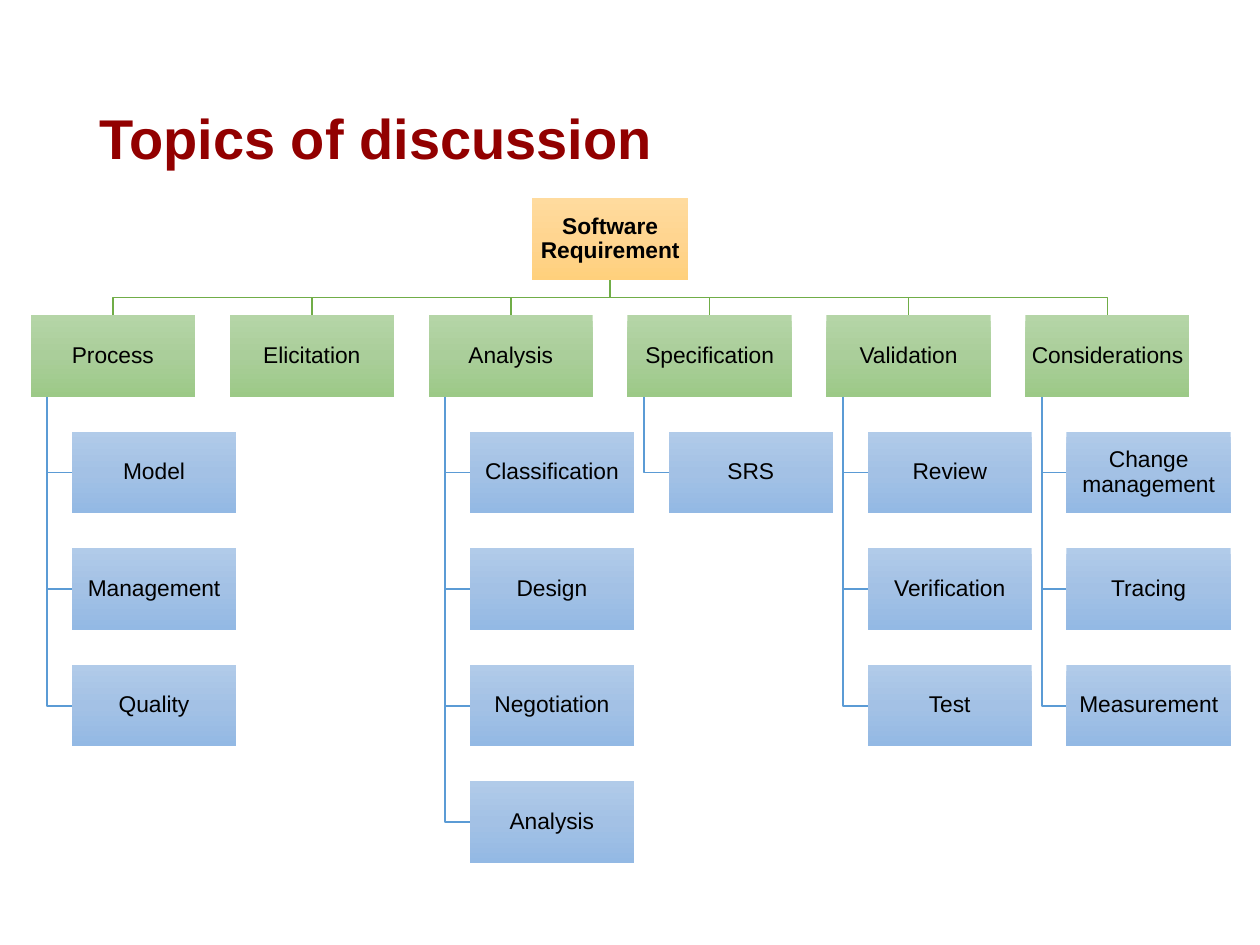
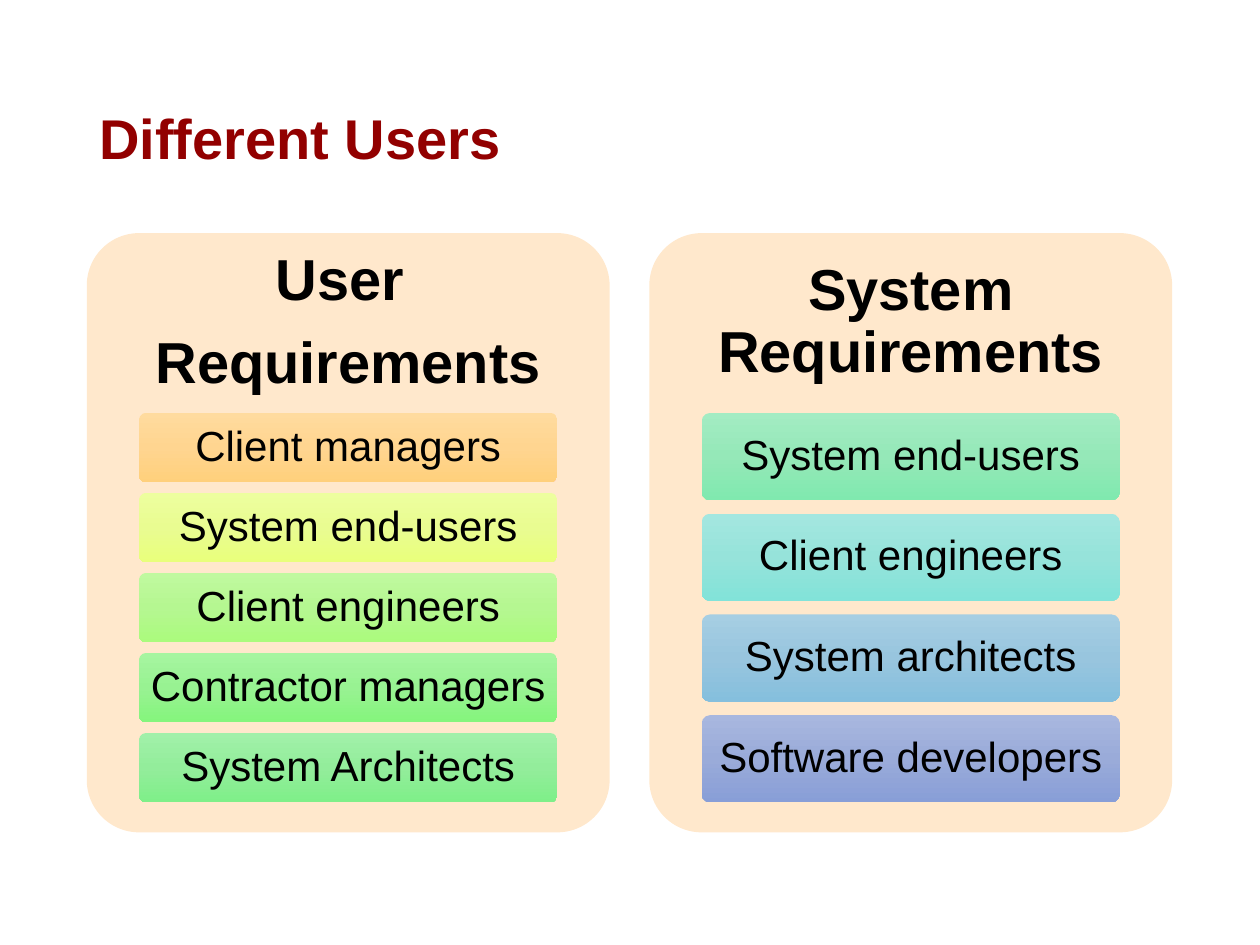
"""Build two slides: a requirements topic tree and two cards of requirement users."""
import copy

import pptx
import pptx.dml.color
import pptx.enum.shapes
import pptx.enum.text
import pptx.oxml.ns
import pptx.util

Cm = pptx.util.Cm
RGBColor = pptx.dml.color.RGBColor
MSO_SHAPE = pptx.enum.shapes.MSO_SHAPE
PP_ALIGN = pptx.enum.text.PP_ALIGN

COLOURS = {
    "title": "920000",
    "text": "000000",
    "card": "FFE8CC",
    "branch line": "70AD47",
    "leaf line": "5B9BD5",
}
GRADIENTS = {
    "orange": ("FFDB9E", "FFD590", "FFD07C"),
    "green": ("B5D5A7", "AACE9A", "9CC987"),
    "blue": ("B1CBE9", "A3C1E5", "93B9E4"),
    "yellow": ("EDFE9E", "E9FC91", "E9FF7C"),
    "lime": ("C0F99F", "B5F791", "ABFB7D"),
    "grass": ("A6F5A0", "98F292", "85F57D"),
    "mint": ("A1F0A9", "93ED9B", "7FEF89"),
    "jade": ("A3ECC3", "95E8B8", "80E9AF"),
    "turquoise": ("A4E7E0", "96E3DA", "82E3D9"),
    "sky": ("A6CEE3", "98C5DE", "85BFDD"),
    "violet": ("A8B7DF", "9AABD9", "889ED7"),
}


def write_text(shape, text, size=13, bold=False, colour="text",
               align=PP_ALIGN.CENTER, margins=(0.03, 0.03)):
    text_frame = shape.text_frame
    text_frame.text = text
    text_frame.word_wrap = True
    text_frame.auto_size = pptx.enum.text.MSO_AUTO_SIZE.NONE
    text_frame.vertical_anchor = pptx.enum.text.MSO_ANCHOR.MIDDLE
    text_frame.margin_left = text_frame.margin_right = Cm(margins[0])
    text_frame.margin_top = text_frame.margin_bottom = Cm(margins[1])
    for index, paragraph in enumerate(text_frame.paragraphs):
        paragraph.alignment = align
        paragraph.line_spacing = 0.9
        paragraph.space_before = pptx.util.Pt(0.35 * size if index else 0)
        paragraph.font.name = "Arial"
        paragraph.font.size = pptx.util.Pt(size)
        paragraph.font.bold = bold
        paragraph.font.color.rgb = RGBColor.from_string(COLOURS[colour])


def add_block(slide, kind, left, top, width, height, colour):
    block = slide.shapes.add_shape(kind, Cm(left), Cm(top), Cm(width), Cm(height))
    block.shadow.inherit = False
    block.line.fill.background()
    if kind == MSO_SHAPE.ROUNDED_RECTANGLE:
        block.adjustments[0] = 0.1
    if colour in COLOURS:
        block.fill.solid()
        block.fill.fore_color.rgb = RGBColor.from_string(COLOURS[colour])
        return block
    block.fill.gradient()
    block.fill.gradient_angle = 270
    stop_list = block.element.spPr.find(".//" + pptx.oxml.ns.qn("a:gsLst"))
    stop_list.insert(1, copy.deepcopy(stop_list[0]))
    for index, stop in enumerate(block.fill.gradient_stops):
        stop.position = index / 2
        stop.color.rgb = RGBColor.from_string(GRADIENTS[colour][index])
    return block


presentation = pptx.Presentation()
presentation.slide_width = Cm(25.4)
presentation.slide_height = Cm(19.05)

slides = []
for heading in ("Topics of discussion", "Different Users"):
    slide = presentation.slides.add_slide(presentation.slide_layouts[5])
    title = slide.shapes.title
    title.left, title.top, title.width, title.height = Cm(1.75), Cm(1.01), Cm(21.9), Cm(3.68)
    write_text(title, heading, size=32, bold=True, colour="title",
               align=PP_ALIGN.LEFT, margins=(0.25, 0.13))
    slides.append(slide)
topics_slide, users_slide = slides

TOPICS = [
    ("Process", ["Model", "Management", "Quality"]),
    ("Elicitation", []),
    ("Analysis", ["Classification", "Design", "Negotiation", "Analysis"]),
    ("Specification", ["SRS"]),
    ("Validation", ["Review", "Verification", "Test"]),
    ("Considerations", ["Change management", "Tracing", "Measurement"]),
]
TREE_LEFT, TREE_TOP = 0.62, 4.0
COLUMN_STEP, ROW_STEP = 4.01, 2.35
BOX_WIDTH, BOX_HEIGHT, ROOT_WIDTH = 3.31, 1.65, 3.14
LEAF_INDENT, TRUNK_INDENT = 0.83, 0.33

tree_centre = TREE_LEFT + ((len(TOPICS) - 1) * COLUMN_STEP + BOX_WIDTH) / 2
root_bottom = TREE_TOP + BOX_HEIGHT
branch_top = TREE_TOP + ROW_STEP
bus_y = (root_bottom + branch_top) / 2

boxes = [("Software Requirement", tree_centre - ROOT_WIDTH / 2, TREE_TOP, ROOT_WIDTH, "orange")]
elbows = []
for column, (topic, leaves) in enumerate(TOPICS):
    left = TREE_LEFT + column * COLUMN_STEP
    centre = left + BOX_WIDTH / 2
    trunk = left + TRUNK_INDENT
    boxes.append((topic, left, branch_top, BOX_WIDTH, "green"))
    elbows.append(("branch line", [(tree_centre, root_bottom), (tree_centre, bus_y),
                                   (centre, bus_y), (centre, branch_top)]))
    for row, leaf in enumerate(leaves, start=1):
        top = branch_top + row * ROW_STEP
        middle = top + BOX_HEIGHT / 2
        boxes.append((leaf, left + LEAF_INDENT, top, BOX_WIDTH, "blue"))
        elbows.append(("leaf line", [(trunk, branch_top + BOX_HEIGHT), (trunk, middle),
                                     (left + LEAF_INDENT, middle)]))

for colour, points in reversed(elbows):
    start, *corners = [(Cm(x), Cm(y)) for x, y in points]
    builder = topics_slide.shapes.build_freeform(*start)
    builder.add_line_segments(corners, close=False)
    elbow = builder.convert_to_shape()
    elbow.shadow.inherit = False
    elbow.fill.background()
    elbow.line.color.rgb = RGBColor.from_string(COLOURS[colour])
    elbow.line.width = pptx.util.Pt(1)

for text, left, top, width, colour in boxes:
    box = add_block(topics_slide, MSO_SHAPE.RECTANGLE, left, top, width, BOX_HEIGHT, colour)
    write_text(box, text, bold=colour == "orange")

CARDS = [
    ("User \nRequirements", [
        ("Client managers", "orange"),
        ("System end-users", "yellow"),
        ("Client engineers", "lime"),
        ("Contractor managers", "grass"),
        ("System Architects", "mint"),
    ]),
    ("System Requirements", [
        ("System end-users", "jade"),
        ("Client engineers", "turquoise"),
        ("System architects", "sky"),
        ("Software developers", "violet"),
    ]),
]
CARD_LEFT, CARD_TOP, CARD_STEP = 1.75, 4.7, 11.34
CARD_WIDTH, CARD_HEIGHT = 10.54, 12.08
HEADING_HEIGHT = 0.3 * CARD_HEIGHT
USERS_HEIGHT = 0.65 * CARD_HEIGHT
GAP_RATIO = 2 / 13

for column, (heading, users) in enumerate(CARDS):
    left = CARD_LEFT + column * CARD_STEP
    add_block(users_slide, MSO_SHAPE.ROUNDED_RECTANGLE,
              left, CARD_TOP, CARD_WIDTH, CARD_HEIGHT, "card")
    heading_box = users_slide.shapes.add_textbox(
        Cm(left), Cm(CARD_TOP), Cm(CARD_WIDTH), Cm(HEADING_HEIGHT))
    write_text(heading_box, heading, size=33, bold=True, margins=(0.36, 0.36))
    user_height = USERS_HEIGHT / (len(users) + (len(users) - 1) * GAP_RATIO)
    for row, (user, colour) in enumerate(users):
        top = CARD_TOP + HEADING_HEIGHT + row * user_height * (1 + GAP_RATIO)
        user_box = add_block(users_slide, MSO_SHAPE.ROUNDED_RECTANGLE, left + 0.1 * CARD_WIDTH,
                             top, 0.8 * CARD_WIDTH, user_height, colour)
        write_text(user_box, user, size=24, margins=(0.15, 0.1))

presentation.save("out.pptx")
